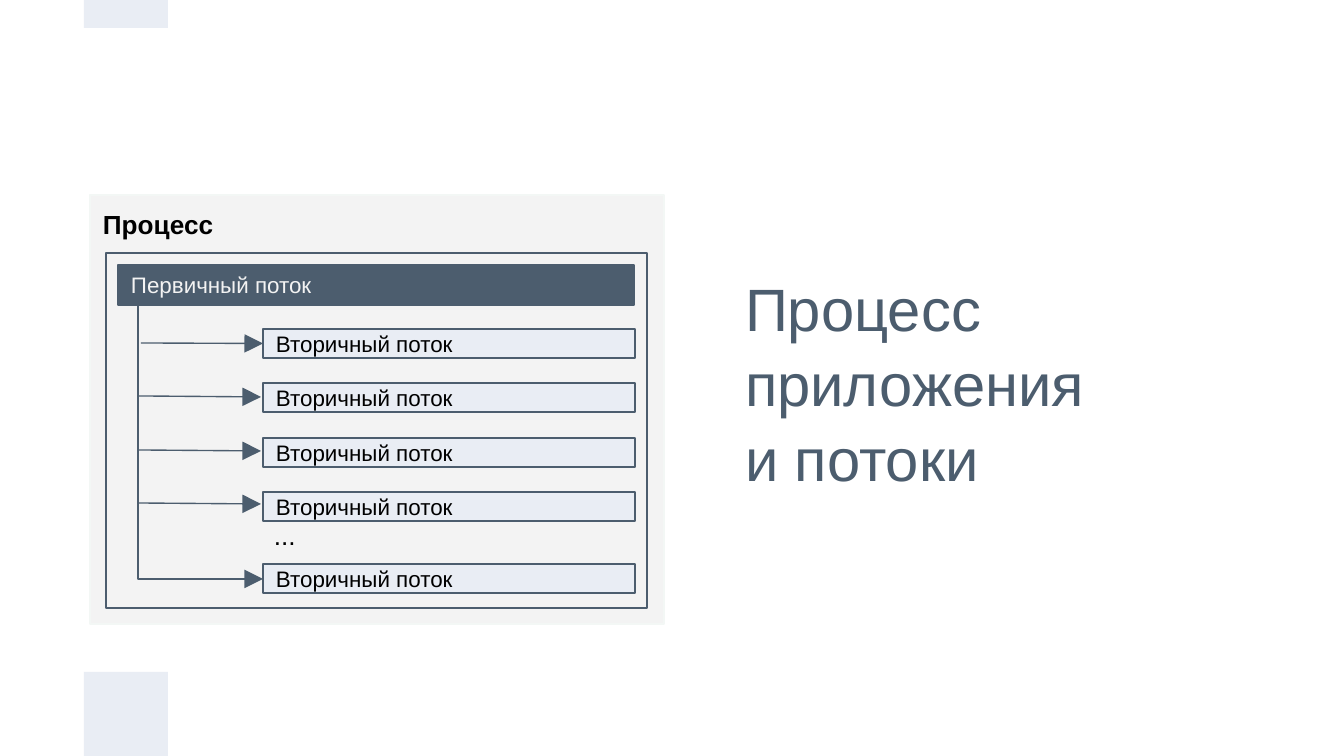
from lxml import etree
from pptx import Presentation
from pptx.dml.color import RGBColor
from pptx.enum.shapes import MSO_CONNECTOR, MSO_SHAPE
from pptx.enum.text import MSO_ANCHOR, MSO_AUTO_SIZE, PP_ALIGN
from pptx.oxml.ns import qn
from pptx.util import Pt

RECT = MSO_SHAPE.RECTANGLE
STRAIGHT, ELBOW = MSO_CONNECTOR.STRAIGHT, MSO_CONNECTOR.ELBOW
TOP, MIDDLE = MSO_ANCHOR.TOP, MSO_ANCHOR.MIDDLE
LEFT_SIDE = 1

SLATE = RGBColor(0x4C, 0x5D, 0x6E)
PALE_BLUE = RGBColor(0xE9, 0xED, 0xF4)
PALE_GREY = RGBColor(0xF3, 0xF3, 0xF3)
PALE_GREEN = RGBColor(0xF3, 0xF7, 0xF5)
BLACK = RGBColor(0, 0, 0)

PX = 914400 / 134.4


def write(shape, lines, size, color, anchor=MIDDLE, bold=False, spacing=1.0):
    frame = shape.text_frame
    frame_format = {
        "word_wrap": True, "auto_size": MSO_AUTO_SIZE.NONE, "vertical_anchor": anchor,
        "margin_left": round(13 * PX), "margin_right": round(13 * PX),
        "margin_top": round(13 * PX), "margin_bottom": round(13 * PX),
    }
    for name, value in frame_format.items():
        setattr(frame, name, value)
    for index, line in enumerate(lines):
        para = frame.add_paragraph() if index else frame.paragraphs[0]
        para.alignment = PP_ALIGN.LEFT
        para.line_spacing = spacing
        span = para.add_run()
        span.text = line
        for name, value in {"name": "Arial", "size": Pt(size), "bold": bold}.items():
            setattr(span.font, name, value)
        span.font.color.rgb = color


def add_box(bounds, fill=None, line=None):
    box = page.shapes.add_shape(RECT, *(round(v * PX) for v in bounds))
    box.shadow.inherit = False
    if fill is None:
        box.fill.background()
    else:
        box.fill.solid()
        box.fill.fore_color.rgb = fill
    if line is None:
        box.line.fill.background()
    else:
        box.line.color.rgb = line
        box.line.width = Pt(0.75)
    return box


deck = Presentation()
deck.slide_width, deck.slide_height = round(1344 * PX), round(756 * PX)
page = deck.slides.add_slide(deck.slide_layouts[5])

# Page accents
add_box((84, 672, 84, 84), PALE_BLUE)
add_box((84, 0, 84, 28), PALE_BLUE)

# Title
title = page.shapes.title
title_bounds = {"left": 732, "top": 297, "width": 442, "height": 168}
for name, value in title_bounds.items():
    setattr(title, name, round(value * PX))
write(title, ["Процесс приложения", "и потоки"], 32, SLATE, spacing=1.05)

# Process with its primary thread
process = add_box((90, 195, 574, 429), PALE_GREY, PALE_GREEN)
write(process, ["Процесс"], 14, BLACK, anchor=TOP, bold=True)
add_box((106, 253, 541, 355), line=SLATE)
primary = add_box((118, 265, 516, 40), SLATE, SLATE)
write(primary, ["Первичный поток"], 12, PALE_GREY)

# Secondary threads
threads = []
for top in (329, 383, 438, 492, 564):
    thread = add_box((263, top, 372, 29), PALE_BLUE, SLATE)
    write(thread, ["Вторичный поток"], 12, BLACK)
    threads.append(thread)

# Arrows: the trunk to the last thread, then one branch to each of the others
trunk = page.shapes.add_connector(
    ELBOW, *(round(v * PX) for v in (138, 306, 263, 579)))
trunk.end_connect(threads[-1], LEFT_SIDE)
arrows = [trunk]
for start_x, start_y, end_x, end_y in (
    (141, 343, 263, 344), (138, 396, 261, 397), (138, 450, 261, 451), (138, 503, 261, 504),
):
    arrows.append(page.shapes.add_connector(
        STRAIGHT, *(round(v * PX) for v in (start_x, start_y, end_x, end_y))))
arrows[1].end_connect(threads[0], LEFT_SIDE)

# A single-bend elbow is stored turned by 270 degrees and mirrored
trunk_bounds = {"left": 64, "top": 380, "width": 273, "height": 125}
for name, value in trunk_bounds.items():
    setattr(trunk, name, round(value * PX))
trunk_properties = trunk._element.spPr
trunk_properties.find(qn("a:prstGeom")).set("prst", "bentConnector2")
trunk_frame = trunk_properties.find(qn("a:xfrm"))
trunk_frame.set("rot", "16200000")
trunk_frame.set("flipH", "1")

for arrow in arrows:
    arrow.line.color.rgb = SLATE
    arrow.line.width = Pt(0.75)
    line_xml = arrow.line._get_or_add_ln()
    etree.SubElement(line_xml, qn("a:tailEnd"), type="triangle", w="lg", len="lg")
    etree.SubElement(arrow._element.spPr, qn("a:effectLst"))

ellipsis = page.shapes.add_textbox(*(round(v * PX) for v in (261, 524, 122, 22)))
write(ellipsis, ["..."], 14, BLACK)

deck.save("out.pptx")
